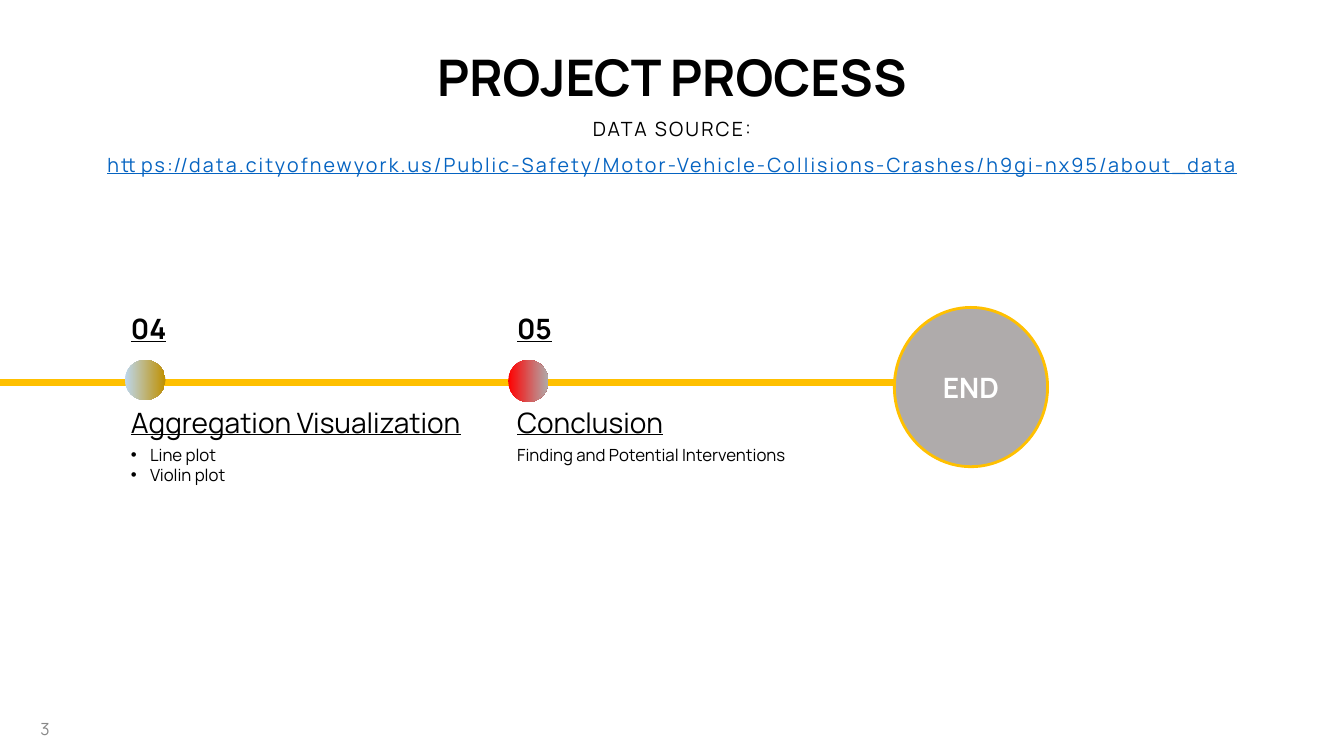
"""Build the project process slide with its closing timeline."""
from lxml.etree import SubElement
from pptx import Presentation
from pptx.dml.color import RGBColor
from pptx.enum.shapes import MSO_CONNECTOR, MSO_SHAPE
from pptx.enum.text import MSO_ANCHOR, MSO_AUTO_SIZE, PP_ALIGN
from pptx.oxml.ns import qn
from pptx.util import Inches, Pt

FONT, BLACK, GOLD, GREY = "Manrope", "000000", "FFC000", "AFABAB"
TITLE = "PROJECT PROCESS"
SOURCE = [
    ("DATA SOURCE:", BLACK, False),
    ("https://data.cityofnewyork.us/Public-Safety/"
     "Motor-Vehicle-Collisions-Crashes/h9gi-nx95/about_data", "0563C1", True),
]
STEPS = [
    {"num": "04", "head": "Aggregation Visualization", "left": 1.2,
     "notes": ["Line plot", "Violin plot"], "bullet": True,
     "dot": (1.24, 3.57, 0.4, 0.4), "fade": ("BDD7EE", "BF9000")},
    {"num": "05", "head": "Conclusion", "left": 5.03,
     "notes": ["Finding and Potential Interventions"], "bullet": False,
     "dot": (5.04, 3.57, 0.4, 0.42), "fade": ("FF0000", GREY)},
]


def color(code):
    return RGBColor.from_string(code)


def style(para, size, code=BLACK, bold=False, under=False):
    for run in para.runs:
        font = run.font
        font.name, font.size = FONT, Pt(size)
        font.bold, font.underline = bold, under
        font.color.rgb = color(code)


def place(shape, *box):
    shape.left, shape.top, shape.width, shape.height = map(Inches, box)


def bullet(para, char=None, indent=0):
    props = para._p.get_or_add_pPr()
    props.set("marL", str(Inches(indent)))
    props.set("indent", str(-Inches(indent)))
    if char:
        SubElement(props, qn("a:buFont"), typeface="Arial")
        SubElement(props, qn("a:buChar"), char=char)
    else:
        SubElement(props, qn("a:buNone"))


def label(slide, box, lines, size, mark=False, **look):
    frame = slide.shapes.add_textbox(*map(Inches, box)).text_frame
    frame.word_wrap = True
    frame.text = "\n".join(lines)
    for para in frame.paragraphs:
        if mark:
            bullet(para, "•", 0.19)
        style(para, size, **look)
    return frame


def circle(slide, box):
    shape = slide.shapes.add_shape(
        MSO_SHAPE.FLOWCHART_CONNECTOR, *map(Inches, box))
    shape.shadow.inherit = False
    return shape


def header(slide):
    title, body = slide.shapes.title, slide.placeholders[1]
    place(title, 0.59, 0.45, 12.15, 0.69)
    place(body, 0.59, 1.14, 12.15, 0.2)
    title.text_frame.text = TITLE
    body.text_frame.text = "\n".join(row[0] for row in SOURCE)
    for shape in (title, body):
        shape.text_frame.auto_size = MSO_AUTO_SIZE.NONE
        for para in shape.text_frame.paragraphs:
            para.alignment, para.line_spacing = PP_ALIGN.CENTER, 0.9
    title.text_frame.vertical_anchor = MSO_ANCHOR.MIDDLE
    style(title.text_frame.paragraphs[0], 36, bold=True)
    for i, (para, row) in enumerate(zip(body.text_frame.paragraphs, SOURCE)):
        para.space_before = Pt(10 * i)
        bullet(para)
        style(para, 14, row[1], under=row[2])
        for run in para.runs:
            run.font._element.set("spc", "150")


def track(slide):
    line = slide.shapes.add_connector(
        MSO_CONNECTOR.STRAIGHT, *map(Inches, (0, 3.79, 10.03, 3.79)))
    line.line.color.rgb, line.line.width = color(GOLD), Pt(5)
    SubElement(line._element.spPr, qn("a:effectLst"))


def step(slide, item):
    dot = circle(slide, item["dot"])
    dot.line.fill.background()
    dot.fill.gradient()
    dot.fill.gradient_angle = 0
    for stop, code in zip(dot.fill.gradient_stops, item["fade"]):
        stop.color.rgb = color(code)
    left, notes = item["left"], item["notes"]
    label(slide, (left, 3.04, 0.64, 0.44), [item["num"]], 20,
          bold=True, under=True)
    label(slide, (left, 3.97, 3.48, 0.44), [item["head"]], 20, under=True)
    label(slide, (left, 4.36, 2.88, 0.1 + 0.2 * len(notes)), notes, 12,
          mark=item["bullet"])


def finish(slide):
    end = circle(slide, (8.87, 3.05, 1.52, 1.58))
    end.fill.solid()
    end.fill.fore_color.rgb = color(GREY)
    end.line.color.rgb, end.line.width = color(GOLD), Pt(2)
    end.text_frame.text = "END"
    end.text_frame.vertical_anchor = MSO_ANCHOR.MIDDLE
    para = end.text_frame.paragraphs[0]
    para.alignment = PP_ALIGN.CENTER
    style(para, 20, "FFFFFF", bold=True)


def main():
    deck = Presentation()
    deck.slide_width, deck.slide_height = Inches(13.33), Inches(7.5)
    slide = deck.slides.add_slide(deck.slide_layouts[1])
    header(slide)
    track(slide)
    for item in STEPS:
        step(slide, item)
    finish(slide)
    page = label(slide, (0, 6.95, 0.59, 0.55), ["3"], 12, code="888888")
    page.vertical_anchor = MSO_ANCHOR.MIDDLE
    page.paragraphs[0].alignment = PP_ALIGN.RIGHT
    deck.save("out.pptx")


if __name__ == "__main__":
    main()
